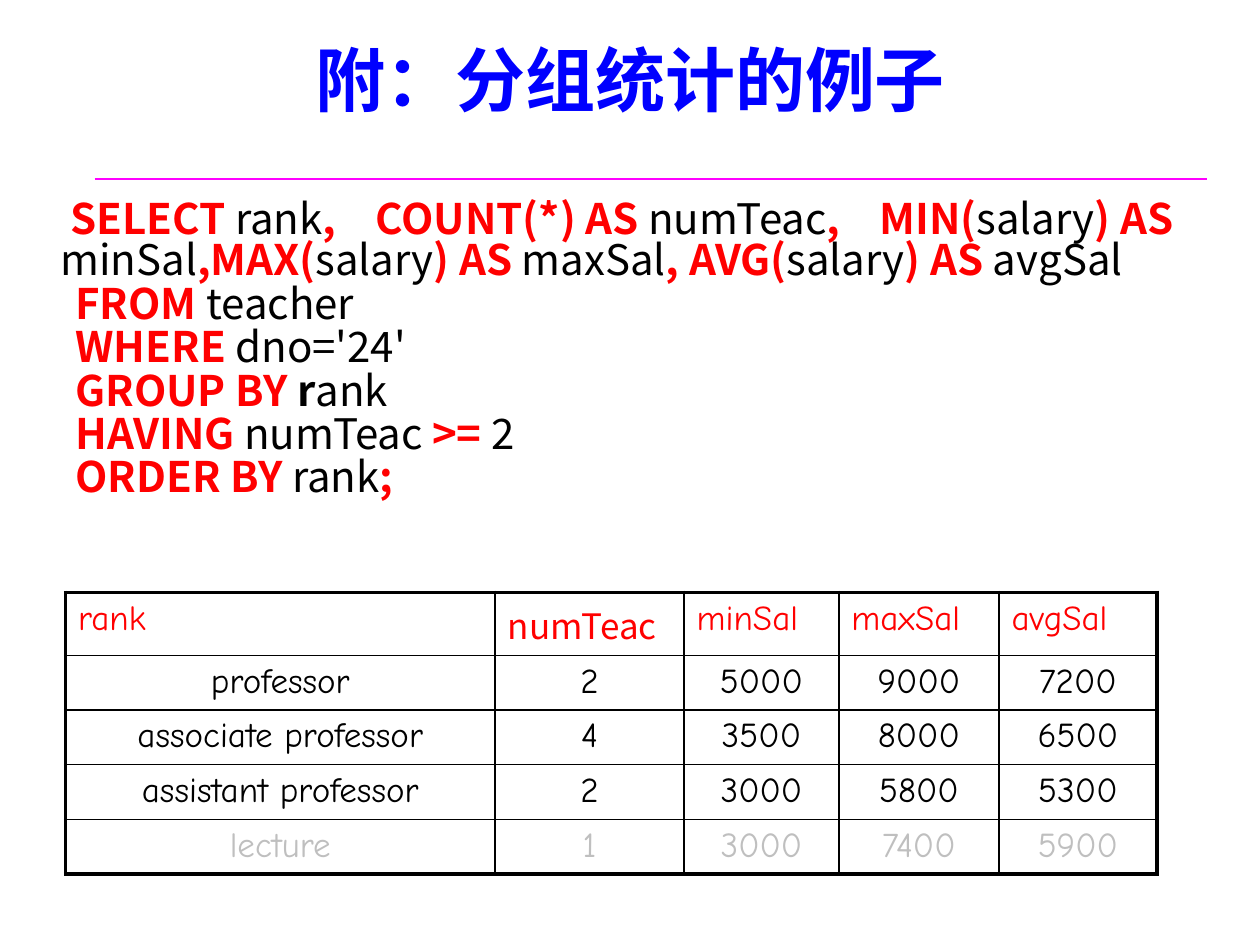
from dataclasses import dataclass
from typing import NamedTuple

from lxml.etree import SubElement
from pptx import Presentation
from pptx.dml.color import RGBColor as RGB
from pptx.enum.shapes import MSO_CONNECTOR as CONN
from pptx.enum.text import MSO_ANCHOR as ANCHOR
from pptx.enum.text import MSO_AUTO_SIZE as AUTO
from pptx.enum.text import PP_ALIGN as ALIGN
from pptx.oxml.ns import qn
from pptx.util import Cm, Pt


@dataclass(frozen=True)
class Theme:
    title: str = "0000FF"
    keyword: str = "FF0000"
    text: str = "000000"
    muted: str = "BFBFBF"
    rule: str = "FF00FF"
    sans: str = "Noto Sans CJK SC"
    comic: str = "Comic Neue"
    title_size: float = 40
    code_size: float = 24
    table_size: float = 20
    line_spacing: float = 0.82
    gap: float = 0.05
    thin: float = 1
    thick: float = 2.25


T = Theme()


class Style(NamedTuple):
    size: float
    color: str
    bold: bool = False
    font: str = T.sans


class Piece(NamedTuple):
    text: str
    style: Style


@dataclass(frozen=True)
class CodeLine:
    pieces: tuple[Piece, ...]
    left: float = 2.06
    first: float = -0.79
    tabs: tuple[float, ...] = ()


KEYWORD = Style(T.code_size, T.keyword, True)
NAME = Style(T.code_size, T.text)
STRONG = Style(T.code_size, T.text, True)


def alternate(*texts: str) -> tuple[Piece, ...]:
    return tuple(Piece(t, (KEYWORD, NAME)[i % 2]) for i, t in enumerate(texts))


QUERY = (
    CodeLine(
        alternate("SELECT ", "rank", ",\tCOUNT(*) AS ", "numTeac", ",\tMIN(", "salary",
                  ") AS ", "minSal", ",MAX(", "salary", ") AS ", "maxSal", ", AVG(",
                  "salary", ") AS ", "avgSal"),
        left=0.97, first=0.2, tabs=(6.93, 17.09)),
    CodeLine(alternate("FROM ", "teacher")),
    CodeLine(alternate("WHERE ", "dno='24'")),
    CodeLine((Piece("GROUP BY ", KEYWORD), Piece("r", STRONG), Piece("ank", NAME))),
    CodeLine(alternate("HAVING ", "numTeac ", ">= ", "2")),
    CodeLine(alternate("ORDER BY ", "rank", ";")),
)

ROWS = (
    ("rank", "numTeac", "minSal", "maxSal", "avgSal"),
    ("professor", "2", "5000", "9000", "7200"),
    ("associate professor", "4", "3500", "8000", "6500"),
    ("assistant professor", "2", "3000", "5800", "5300"),
    ("lecture", "1", "3000", "7400", "5900"),
)
COLUMN_WIDTHS = (8.66, 3.81, 3.12, 3.23, 3.18)
HEADER_HEIGHT, ROW_HEIGHT = 1.27, 1.07


def add_run(p, text: str, style: Style) -> None:
    r = p.add_run()
    r.text = text
    formats = {"size": Pt(style.size), "bold": style.bold, "name": style.font}
    for name, value in formats.items():
        setattr(r.font, name, value)
    r.font.color.rgb = RGB.from_string(style.color)
    SubElement(r.font._element, qn("a:ea"), typeface=style.font)


def add_title(s, text: str) -> None:
    sp = s.shapes.title
    box = {"left": Cm(1.91), "top": Cm(0), "width": Cm(21.59), "height": Cm(3.18)}
    for name, value in box.items():
        setattr(sp, name, value)
    tf = sp.text_frame
    tf.auto_size = AUTO.NONE
    tf.vertical_anchor = ANCHOR.MIDDLE
    p = tf.paragraphs[0]
    p.alignment = ALIGN.CENTER
    add_run(p, text, Style(T.title_size, T.title, True))


def add_rule(s) -> None:
    line = s.shapes.add_connector(CONN.STRAIGHT, Cm(1.91), Cm(3.61), Cm(24.33), Cm(3.61))
    line.line.color.rgb = RGB.from_string(T.rule)
    line.line.width = Pt(1.5)
    SubElement(line._element.spPr, qn("a:effectLst"))


def add_query(s, lines: tuple[CodeLine, ...]) -> None:
    tf = s.shapes.add_textbox(Cm(0), Cm(3.94), Cm(25.43), Cm(7.29)).text_frame
    tf.word_wrap = True
    for i, line in enumerate(lines):
        p = tf.add_paragraph() if i else tf.paragraphs[0]
        p.line_spacing = T.line_spacing
        p.space_before = Pt(T.code_size * T.gap)
        props = p._p.get_or_add_pPr()
        props.set("marL", str(Cm(line.left)))
        props.set("indent", str(Cm(line.first)))
        if line.tabs:
            stops = SubElement(props, qn("a:tabLst"))
            for stop in line.tabs:
                SubElement(stops, qn("a:tab"), pos=str(Cm(stop)), algn="l")
        for piece in line.pieces:
            add_run(p, piece.text, piece.style)


def set_borders(cell, widths: dict[str, float]) -> None:
    props = cell._tc.get_or_add_tcPr()
    for side, width in widths.items():
        ln = SubElement(props, qn(f"a:ln{side}"), w=str(Pt(width)))
        fill = SubElement(ln, qn("a:solidFill"))
        SubElement(fill, qn("a:srgbClr"), val=T.text)


def cell_style(row: int, col: int, last_row: int) -> Style:
    font = T.sans if (row, col) == (0, 1) else T.comic
    color = {0: T.keyword, last_row: T.muted}.get(row, T.text)
    return Style(T.table_size, color, font=font)


def add_result(s, rows: tuple[tuple[str, ...], ...]) -> None:
    last_row, last_col = len(rows) - 1, len(COLUMN_WIDTHS) - 1
    height = HEADER_HEIGHT + last_row * ROW_HEIGHT
    table = s.shapes.add_table(len(rows), len(COLUMN_WIDTHS), Cm(1.32), Cm(11.94),
                               Cm(sum(COLUMN_WIDTHS)), Cm(height)).table
    table.first_row = table.horz_banding = False
    for column, width in zip(table.columns, COLUMN_WIDTHS):
        column.width = Cm(width)
    for i, values in enumerate(rows):
        table.rows[i].height = Cm(ROW_HEIGHT if i else HEADER_HEIGHT)
        for j, value in enumerate(values):
            cell = table.cell(i, j)
            edges = {"L": j == 0, "R": j == last_col, "T": i == 0, "B": i == last_row}
            set_borders(cell, {k: T.thick if outer else T.thin for k, outer in edges.items()})
            cell.fill.background()
            p = cell.text_frame.paragraphs[0]
            p.alignment = ALIGN.CENTER if i else ALIGN.LEFT
            p.space_before = Pt(T.table_size * T.gap)
            add_run(p, value, cell_style(i, j, last_row))


def main() -> None:
    prs = Presentation()
    prs.slide_width, prs.slide_height = Cm(25.4), Cm(19.05)
    s = prs.slides.add_slide(prs.slide_layouts[5])
    add_rule(s)
    add_title(s, "附：分组统计的例子")
    add_query(s, QUERY)
    add_result(s, ROWS)
    prs.save("out.pptx")


if __name__ == "__main__":
    main()
